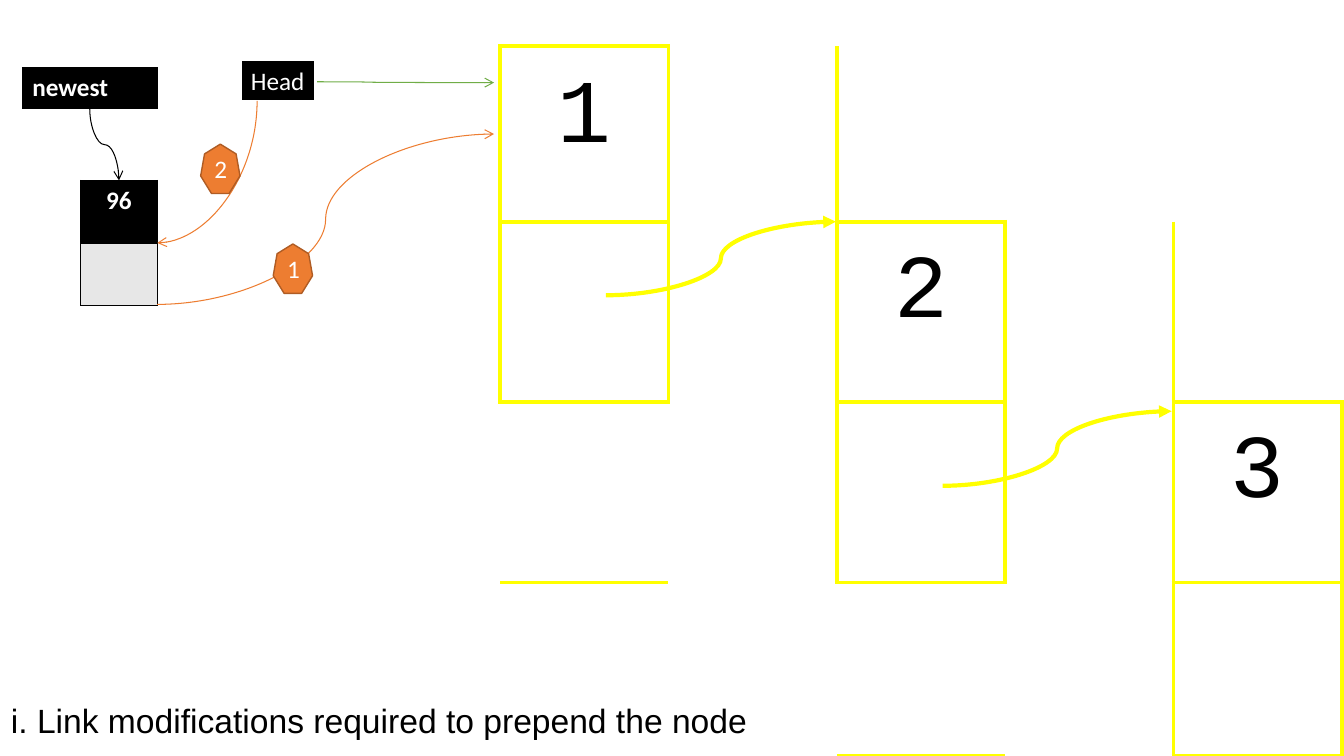
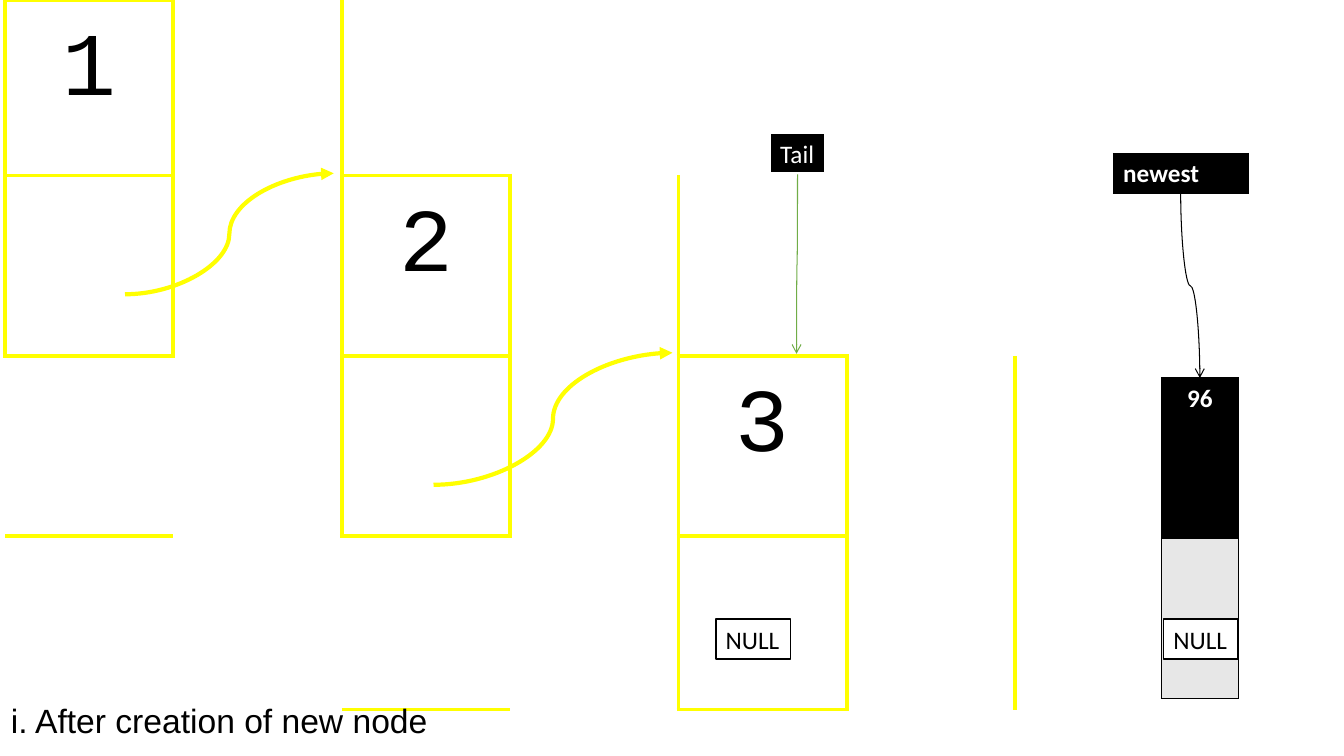
from lxml.etree import SubElement
from pptx import Presentation
from pptx.dml.color import RGBColor
from pptx.enum.shapes import MSO_CONNECTOR, MSO_SHAPE
from pptx.enum.text import MSO_ANCHOR, MSO_AUTO_SIZE, PP_ALIGN
from pptx.oxml.ns import qn
from pptx.util import Emu, Pt

EMU_PER_PX = 9144
COLORS = {
    "ink": "000000",
    "paper": "FFFFFF",
    "node": "FFFF00",
    "pointer": "70AD47",
    "step": "ED7D31",
    "step_edge": "AF5C24",
    "link_field": "E7E7E7",
}
PLAIN_TABLE = "{2D5ABB26-0587-4C30-8999-92F81FD0307C}"
SIDES = {"lnL": (0, -1), "lnR": (0, 1), "lnT": (-1, 0), "lnB": (1, 0)}
LIST_COLUMNS = [167] * 8
LIST_ROWS = [174, 179, 179, 172, 172]


def px(length):
    return Emu(round(length * EMU_PER_PX))


def rgb(name):
    return RGBColor.from_string(COLORS[name])


class ListDiagram:
    """Draws linked-list slides in one style."""

    def __init__(self):
        self.deck = Presentation()
        self.deck.slide_width, self.deck.slide_height = px(1333), px(750)
        self.shapes = None

    def new_slide(self):
        self.shapes = self.deck.slides.add_slide(self.deck.slide_layouts[6]).shapes

    def set_text(self, frame, text, color, font="Calibri", size=18, bold=False,
                 align=PP_ALIGN.LEFT):
        frame.text = text
        paragraph = frame.paragraphs[0]
        paragraph.alignment = align
        style = paragraph.runs[0].font
        style.name, style.size, style.bold = font, Pt(size), bold
        style.color.rgb = rgb(color)

    def caption(self, text):
        frame = self.shapes.add_textbox(px(1), px(669), px(871), px(63)).text_frame
        frame.word_wrap = True
        self.set_text(frame, text, "ink", "Arial", 24)
        frame.paragraphs[0].line_spacing = 1.5

    def box(self, kind, left, top, width, height, fill, edge, edge_width):
        shape = self.shapes.add_shape(kind, px(left), px(top), px(width), px(height))
        shape.shadow.inherit = False
        shape.fill.solid()
        shape.fill.fore_color.rgb = rgb(fill)
        shape.line.color.rgb = rgb(edge)
        shape.line.width = Pt(edge_width)
        return shape

    def label(self, text, left, top, width, fill="ink", ink="paper", edge_width=1.5):
        frame = self.box(MSO_SHAPE.RECTANGLE, left, top, width, 40,
                         fill, ink, edge_width).text_frame
        frame.word_wrap = False
        frame.auto_size = MSO_AUTO_SIZE.SHAPE_TO_FIT_TEXT
        frame.vertical_anchor = MSO_ANCHOR.TOP
        self.set_text(frame, text, ink)

    def null_label(self, left):
        self.label("NULL", left, 614, 74, "paper", "ink", 1)

    def step(self, number, left, top):
        badge = self.box(MSO_SHAPE.HEPTAGON, left, top, 39, 49, "step", "step_edge", 1)
        self.set_text(badge.text_frame, number, "paper", align=PP_ALIGN.CENTER)

    def curve(self, begin, end, color, width=0.75, head="arrow", down=False,
              preset="curvedConnector3"):
        """Curve from begin to end; with down, it leaves begin vertically."""
        (x1, y1), (x2, y2) = begin, end
        rotation = 0
        if down:
            mid_x, mid_y = (x1 + x2) / 2, (y1 + y2) / 2
            half_x, half_y = abs(y2 - y1) / 2, abs(x2 - x1) / 2
            rotation = 90
            if x2 > x1:
                rotation, half_x = 270, -half_x
            x1, x2 = mid_x - half_x, mid_x + half_x
            y1, y2 = mid_y - half_y, mid_y + half_y
        link = self.shapes.add_connector(MSO_CONNECTOR.CURVE, px(x1), px(y1), px(x2), px(y2))
        link.line.color.rgb = rgb(color)
        link.line.width = Pt(width)
        properties = link._element.spPr
        if rotation:
            properties.find(qn("a:xfrm")).set("rot", str(rotation * 60000))
        properties.find(qn("a:prstGeom")).set("prst", preset)
        SubElement(properties.find(qn("a:ln")), qn("a:tailEnd"), type=head)
        SubElement(properties, qn("a:effectLst"))

    def node_link(self, begin, end):
        self.curve(begin, end, "node", 3, "triangle")

    def table(self, left, top, columns, rows):
        table = self.shapes.add_table(len(rows), len(columns), px(left), px(top),
                                      px(sum(columns)), px(sum(rows))).table
        table.first_row = table.horz_banding = False
        table._tbl.tblPr.find(qn("a:tableStyleId")).text = PLAIN_TABLE
        for column, width in zip(table.columns, columns):
            column.width = px(width)
        for row, height in zip(table.rows, rows):
            row.height = px(height)
        return table

    def fill_cell(self, cell, fill, sides, edge, edge_width):
        if fill:
            cell.fill.solid()
            cell.fill.fore_color.rgb = rgb(fill)
        else:
            cell.fill.background()
        properties = cell._tc.get_or_add_tcPr()
        for position, side in enumerate(sides):
            line = SubElement(properties, qn(f"a:{side}"), w=str(Pt(edge_width)))
            paint = SubElement(line, qn("a:solidFill"))
            SubElement(paint, qn("a:srgbClr"), val=COLORS[edge])
            properties.insert(position, line)

    def linked_list(self, left, top, values):
        """Stair of nodes, each a value cell above a link cell."""
        table = self.table(left, top, LIST_COLUMNS, LIST_ROWS)
        value_cells = {(step, 2 * step + 1): value for step, value in enumerate(values)}
        node_cells = {(row + part, column) for row, column in value_cells for part in (0, 1)}
        for row in range(len(LIST_ROWS)):
            for column in range(len(LIST_COLUMNS)):
                sides = [side for side, (down, right) in SIDES.items()
                         if {(row, column), (row + down, column + right)} & node_cells]
                self.fill_cell(table.cell(row, column), None, sides, "node", 3)
        for place, value in value_cells.items():
            cell = table.cell(*place)
            cell.margin_left = cell.margin_right = cell.margin_bottom = px(13)
            cell.margin_top = px(21)
            self.set_text(cell.text_frame, value, "ink", "Courier New", 64,
                          align=PP_ALIGN.CENTER)

    def new_node(self, left, top, row_height):
        table = self.table(left, top, [76], [row_height] * 2)
        for row, fill in enumerate(("ink", "link_field")):
            self.fill_cell(table.cell(row, 0), fill, SIDES, "ink", 1)
        self.set_text(table.cell(0, 0).text_frame, "96", "paper", bold=True,
                      align=PP_ALIGN.CENTER)

    def newest(self, left, top):
        cell = self.table(left, top, [134], [40]).cell(0, 0)
        self.fill_cell(cell, "ink", SIDES, "ink", 0.5)
        self.set_text(cell.text_frame, "newest", "paper", bold=True)


def prepend_slide(diagram):
    diagram.new_slide()
    diagram.linked_list(329, 46, "123")
    diagram.node_link((601, 293), (829, 220))
    diagram.node_link((935, 482), (1162, 408))
    diagram.curve((239, 81), (490, 82), "pointer")
    diagram.label("Head", 239, 60, 74)
    diagram.caption("i. Link modifications required to prepend the node")
    diagram.new_node(80, 179, 62)
    diagram.curve((156, 302), (490, 133), "step")
    diagram.newest(22, 67)
    diagram.curve((89, 108), (118, 179), "ink", down=True)
    diagram.curve((255, 100), (156, 241), "step", down=True, preset="curvedConnector2")
    diagram.step("1", 271, 242)
    diagram.step("2", 199, 143)


def creation_slide(diagram):
    diagram.new_slide()
    diagram.linked_list(-162, 0, "123")
    diagram.node_link((124, 292), (331, 172))
    diagram.node_link((430, 481), (667, 350))
    diagram.curve((791, 173), (790, 351), "pointer", down=True)
    diagram.label("Tail", 764, 132, 54)
    diagram.caption("i. After creation of new node")
    diagram.new_node(1152, 375, 159)
    diagram.newest(1104, 152)
    diagram.curve((1171, 192), (1190, 375), "ink", down=True)
    diagram.null_label(710)
    diagram.null_label(1154)


def main():
    diagram = ListDiagram()
    prepend_slide(diagram)
    creation_slide(diagram)
    diagram.deck.save("out.pptx")


if __name__ == "__main__":
    main()
